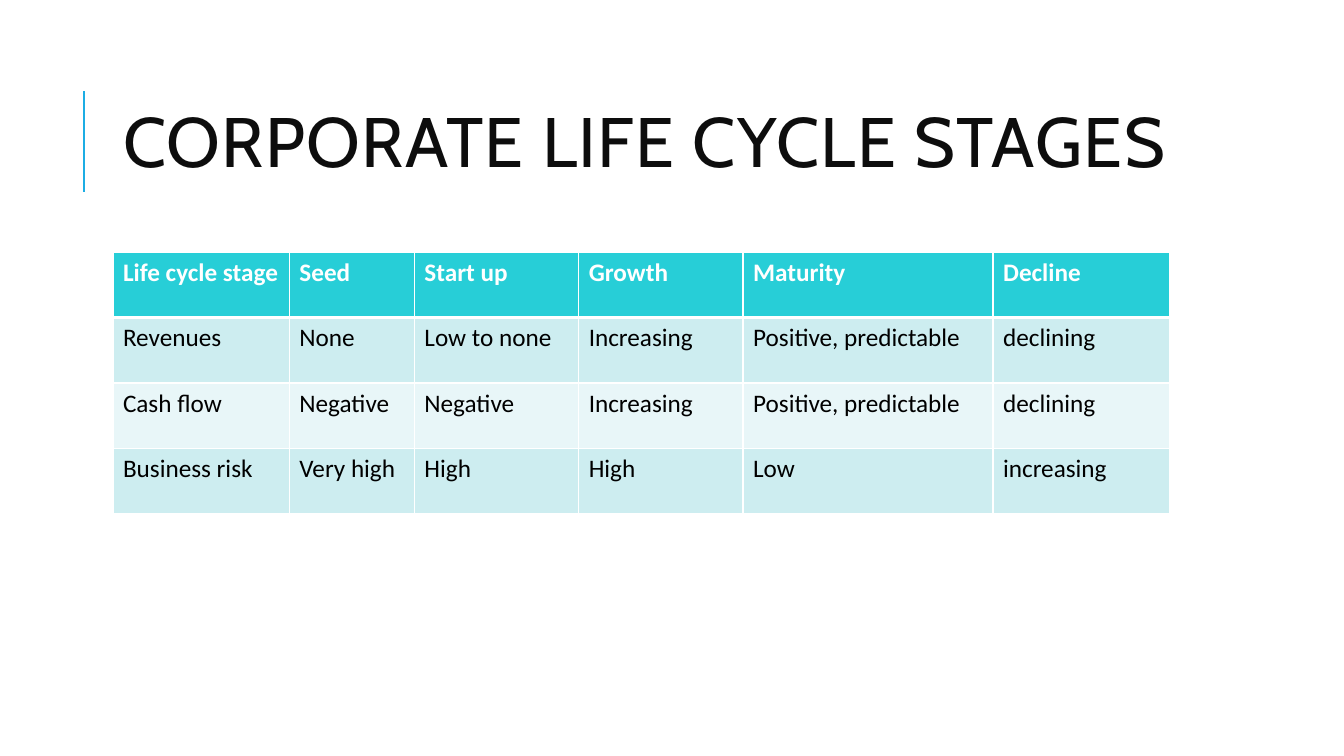
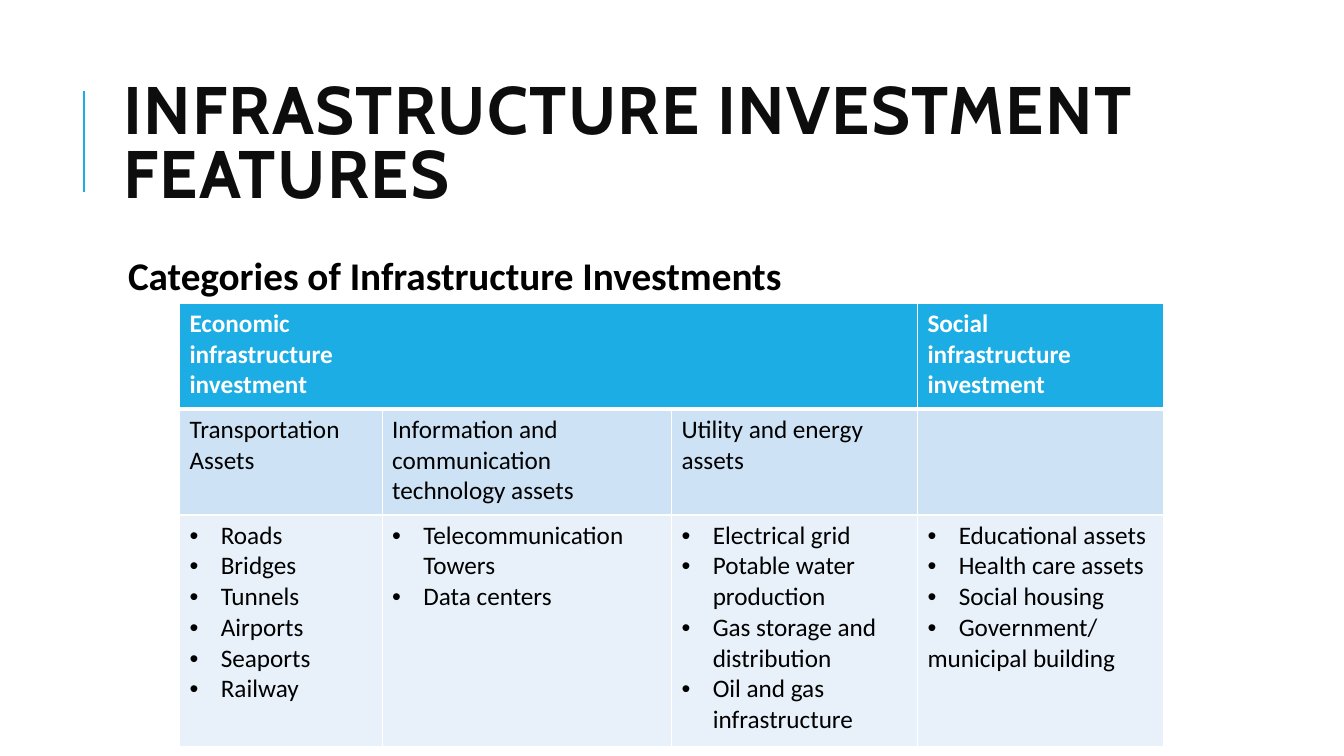
from lxml import etree
from pptx import Presentation
from pptx.dml.color import RGBColor
from pptx.enum.shapes import MSO_CONNECTOR
from pptx.enum.text import MSO_ANCHOR, MSO_AUTO_SIZE, PP_ALIGN
from pptx.oxml.ns import qn
from pptx.util import Inches, Pt

STRAIGHT = MSO_CONNECTOR.STRAIGHT
MIDDLE = MSO_ANCHOR.MIDDLE
LEFT = PP_ALIGN.LEFT
NO_AUTOFIT = MSO_AUTO_SIZE.NONE

WHITE = RGBColor(0xFF, 0xFF, 0xFF)
BLACK = RGBColor(0, 0, 0)
TITLE_INK = RGBColor(0x0D, 0x0D, 0x0D)
BLUE = RGBColor(0x1C, 0xAD, 0xE4)
BLUE_BANDS = (RGBColor(0xCD, 0xE3, 0xF5), RGBColor(0xE8, 0xF1, 0xFA))
TEAL = RGBColor(0x27, 0xCE, 0xD7)
TEAL_BANDS = (RGBColor(0xCD, 0xED, 0xF0), RGBColor(0xE8, 0xF6, 0xF8))

TITLE_FONT = "Cabin"
BODY_FONT = "Calibri"
TITLE_BOX = (1.12, 0.64, 10.63, 1.64)
TITLE_ONLY = 5
BULLET_INDENT = Inches(0.31)
THIN, THICK = Pt(1), Pt(3)


def plain(*texts):
    return [(text, False) for text in texts]


def bullets(*texts):
    return [(text, True) for text in texts]


STAGES = [[plain(text) for text in row] for row in (
    ("Life cycle stage", "Seed", "Start up", "Growth", "Maturity", "Decline"),
    ("Revenues", "None", "Low to none", "Increasing", "Positive, predictable", "declining"),
    ("Cash flow", "Negative", "Negative", "Increasing", "Positive, predictable", "declining"),
    ("Business risk", "Very high", "High", "High", "Low", "increasing"),
)]

CATEGORIES = [
    [plain("Economic", "infrastructure", "investment"), [], [],
     plain("Social", "infrastructure investment")],
    [plain("Transportation", "Assets"),
     plain("Information and communication technology assets"),
     plain("Utility and energy assets"), []],
    [bullets("Roads", "Bridges", "Tunnels", "Airports", "Seaports", "Railway"),
     bullets("Telecommunication Towers", "Data centers"),
     bullets("Electrical grid", "Potable water production",
             "Gas storage and distribution", "Oil and gas infrastructure"),
     bullets("Educational assets", "Health care assets", "Social housing", "Government/")
     + plain("municipal building")],
]


def add_run(paragraph, text, size, color, bold=False, name=BODY_FONT):
    run = paragraph.add_run()
    run.text = text
    run.font.name = name
    run.font.size = Pt(size)
    run.font.bold = bold
    run.font.color.rgb = color
    return run


def place(shape, box):
    shape.left, shape.top, shape.width, shape.height = map(Inches, box)


def add_titled_slide(presentation, text, size, bold=False):
    slide = presentation.slides.add_slide(presentation.slide_layouts[TITLE_ONLY])
    left, top, _, _ = TITLE_BOX
    rule_x = Inches(left - 0.29)
    rule = slide.shapes.add_connector(
        STRAIGHT, rule_x, Inches(top + 1.26), rule_x, Inches(top + 0.26))
    rule.line.color.rgb = BLUE
    rule.line.width = Pt(1.5)
    etree.SubElement(rule._element.spPr, qn("a:effectLst"))

    title = slide.shapes.title
    place(title, TITLE_BOX)
    frame = title.text_frame
    frame.word_wrap = True
    frame.auto_size = NO_AUTOFIT
    frame.vertical_anchor = MIDDLE
    paragraph = frame.paragraphs[0]
    paragraph.alignment = LEFT
    paragraph.line_spacing = 0.8
    run = add_run(paragraph, text, size, TITLE_INK, bold, TITLE_FONT)
    run._r.get_or_add_rPr().set("spc", "100")
    return slide


def add_subheading(slide, text, box):
    shape = slide.shapes.add_textbox(*map(Inches, box))
    frame = shape.text_frame
    frame.word_wrap = True
    frame.margin_left = Inches(0.15)
    frame.margin_top = frame.margin_right = frame.margin_bottom = Inches(0.05)
    paragraph = frame.paragraphs[0]
    paragraph.line_spacing = 0.9
    add_run(paragraph, text, 28, BLACK, bold=True)


def set_borders(cell, top, bottom):
    properties = cell._tc.get_or_add_tcPr()
    edges = (("a:lnL", THIN), ("a:lnR", THIN), ("a:lnT", top), ("a:lnB", bottom))
    for index, (tag, width) in enumerate(edges):
        line = etree.Element(qn(tag), w=str(width))
        fill = etree.SubElement(line, qn("a:solidFill"))
        etree.SubElement(fill, qn("a:srgbClr"), val=str(WHITE))
        properties.insert(index, line)


def make_bullet(paragraph):
    properties = paragraph._p.get_or_add_pPr()
    properties.set("marL", str(BULLET_INDENT))
    properties.set("indent", str(-BULLET_INDENT))
    etree.SubElement(properties, qn("a:buFont"), typeface="Arial")
    etree.SubElement(properties, qn("a:buChar"), char="•")


def fill_cell(cell, lines, color, bold):
    frame = cell.text_frame
    for index, (text, bulleted) in enumerate(lines):
        paragraph = frame.add_paragraph() if index else frame.paragraphs[0]
        if bulleted:
            make_bullet(paragraph)
        add_run(paragraph, text, 18, color, bold)


def add_banded_table(slide, origin, widths, heights, rows, header, bands, header_span=1):
    left, top = origin
    table = slide.shapes.add_table(
        len(rows), len(widths), Inches(left), Inches(top),
        Inches(sum(widths)), Inches(sum(heights))).table
    table.first_row = table.horz_banding = False
    for column, width in zip(table.columns, widths):
        column.width = Inches(width)
    for row, height in zip(table.rows, heights):
        row.height = Inches(height)
    if header_span > 1:
        table.cell(0, 0).merge(table.cell(0, header_span - 1))
    for row_index, row in enumerate(rows):
        is_header = row_index == 0
        for column_index, lines in enumerate(row):
            cell = table.cell(row_index, column_index)
            if cell.is_spanned:
                continue
            cell.fill.solid()
            cell.fill.fore_color.rgb = header if is_header else bands[(row_index - 1) % 2]
            set_borders(cell, THICK if row_index == 1 else THIN,
                        THICK if is_header else THIN)
            fill_cell(cell, lines, WHITE if is_header else BLACK, is_header)


def add_stages_slide(presentation):
    slide = add_titled_slide(presentation, "CORPORATE LIFE CYCLE STAGES", 50)
    add_banded_table(slide, (1.12, 2.5), (1.75, 1.24, 1.63, 1.63, 2.48, 1.75),
                     [0.65] * len(STAGES), STAGES, TEAL, TEAL_BANDS)


def add_infrastructure_slide(presentation):
    slide = add_titled_slide(presentation, "INFRASTRUCTURE INVESTMENT FEATURES", 48, bold=True)
    add_subheading(slide, "Categories of Infrastructure Investments", (1.12, 2.5, 10.63, 0.5))
    add_banded_table(slide, (1.78, 3.01), (2.01, 2.87, 2.44, 2.44), (1.05, 1.05, 2.3),
                     CATEGORIES, BLUE, BLUE_BANDS, header_span=3)


def main():
    presentation = Presentation()
    presentation.slide_width = Inches(13.33)
    presentation.slide_height = Inches(7.5)
    add_stages_slide(presentation)
    add_infrastructure_slide(presentation)
    presentation.save("out.pptx")


if __name__ == "__main__":
    main()
